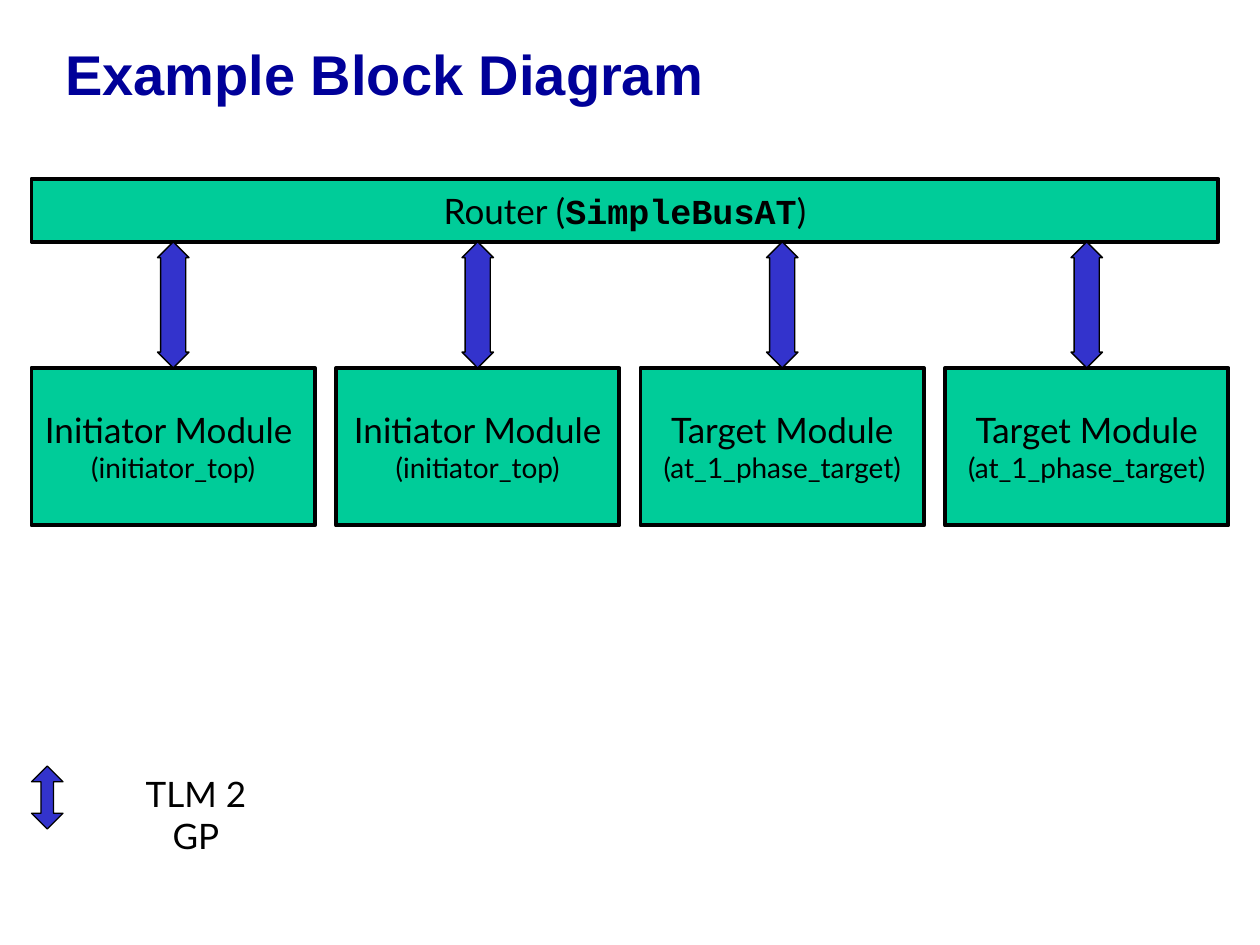
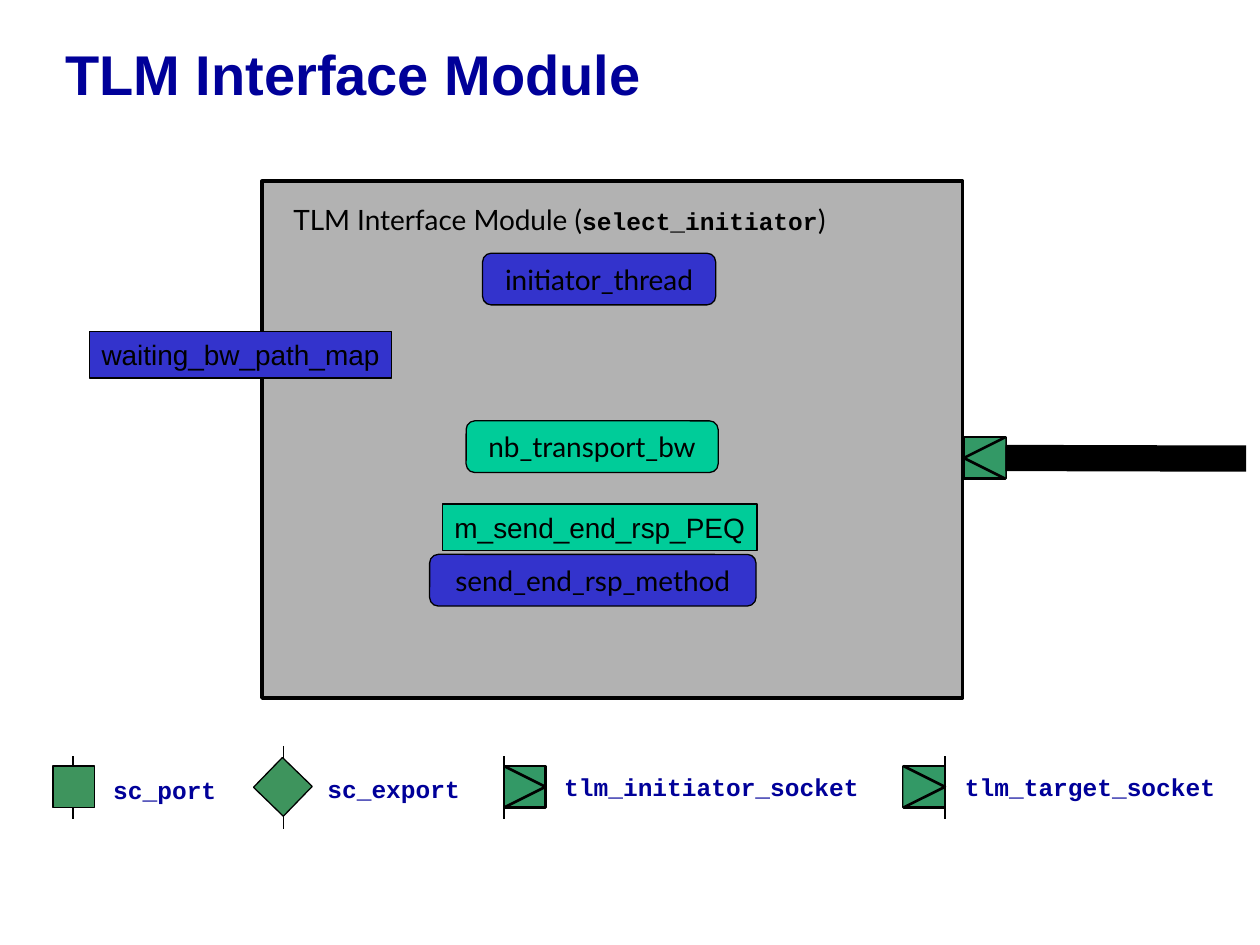
"""Build two slides showing a TLM block diagram and its interface module."""
from dataclasses import dataclass

from lxml import etree
from pptx import Presentation
from pptx.dml.color import RGBColor
from pptx.enum.shapes import MSO_CONNECTOR, MSO_SHAPE
from pptx.enum.text import MSO_ANCHOR, MSO_AUTO_SIZE, PP_ALIGN
from pptx.oxml.ns import qn
from pptx.util import Inches, Pt

RECTANGLE = MSO_SHAPE.RECTANGLE
ROUNDED = MSO_SHAPE.ROUNDED_RECTANGLE
DOUBLE_ARROW = MSO_SHAPE.UP_DOWN_ARROW
STRAIGHT = MSO_CONNECTOR.STRAIGHT
LEFT, CENTER = PP_ALIGN.LEFT, PP_ALIGN.CENTER
TOP, MIDDLE = MSO_ANCHOR.TOP, MSO_ANCHOR.MIDDLE
GROW, FIXED = MSO_AUTO_SIZE.SHAPE_TO_FIT_TEXT, MSO_AUTO_SIZE.NONE
LEFT_SIDE, RIGHT_SIDE = 1, 3

COLORS = {
    "black": "000000",
    "navy": "000099",
    "blue": "3333CC",
    "teal": "00CC99",
    "gray": "B2B2B2",
    "socket": "339966",
    "port": "3E945D",
}
BODY, HEADING, CODE = "Lato", "Arial", "Courier New"
SOCKET_SIZE = 0.33


@dataclass(frozen=True)
class Run:
    text: str
    size: float = 20
    font: str = BODY
    bold: bool = False


@dataclass(frozen=True)
class Box:
    left: float
    top: float
    width: float
    height: float

    def lengths(self) -> tuple:
        return tuple(Inches(v) for v in (self.left, self.top, self.width, self.height))


@dataclass(frozen=True)
class Process:
    name: str
    box: Box
    fill: str
    rounded: bool = True


@dataclass(frozen=True)
class Legend:
    name: str
    symbol_left: float
    line_x: float
    line_top: float
    line_bottom: float
    label: Box
    is_socket: bool = False
    rotation: float = 0


MODULES = [
    ("Initiator Module ", "(initiator_top)"),
    ("Initiator Module", "(initiator_top)"),
    ("Target Module", "(at_1_phase_target)"),
    ("Target Module", "(at_1_phase_target)"),
]
MODULE_LEFT, MODULE_STEP = 0.25, 7.25 / 3

PROCESSES = [
    Process("nb_transport_bw", Box(3.7, 3.34, 2, 0.41), "teal"),
    Process("send_end_rsp_method", Box(3.41, 4.4, 2.59, 0.41), "blue"),
    Process("m_send_end_rsp_PEQ", Box(3.51, 4, 2.5, 0.37), "teal", False),
    Process("initiator_thread", Box(3.83, 2.01, 1.85, 0.41), "blue"),
    Process("waiting_bw_path_map", Box(0.71, 2.63, 2.4, 0.37), "blue", False),
]

LEGENDS = [
    Legend("tlm_initiator_socket", 4, 4, 6, 6.5, Box(4.38, 6.08, 2.54, 0.34), True),
    Legend("tlm_target_socket", 7.17, 7.5, 6, 6.5, Box(7.56, 6.08, 2.19, 0.34), True),
    Legend("sc_port", 0.42, 0.58, 6, 6.5, Box(0.8, 6.1, 1.02, 0.34)),
    Legend("sc_export", 2.08, 2.25, 5.92, 6.58, Box(2.5, 6.09, 1.25, 0.34), rotation=44.1),
]


def color(name: str) -> RGBColor:
    return RGBColor.from_string(COLORS[name])


def write_text(shape, paragraphs: list, *, ink="black", align=CENTER, anchor=MIDDLE,
               wrap=False, fit=FIXED, side_inset=0.1, line_spacing=None) -> None:
    frame = shape.text_frame
    frame.word_wrap = wrap
    frame.auto_size = fit
    frame.vertical_anchor = anchor
    frame.margin_left = frame.margin_right = Inches(side_inset)
    frame.margin_top = frame.margin_bottom = Inches(0.05)
    for index, parts in enumerate(paragraphs):
        paragraph = frame.add_paragraph() if index else frame.paragraphs[0]
        paragraph.alignment = align
        if line_spacing:
            paragraph.line_spacing = line_spacing
        for part in parts:
            run = paragraph.add_run()
            run.text = part.text
            run.font.size = Pt(part.size)
            run.font.name = part.font
            run.font.bold = part.bold
            run.font.color.rgb = color(ink)


def add_text(slide, box: Box, paragraphs: list, **text_format):
    shape = slide.shapes.add_textbox(*box.lengths())
    write_text(shape, paragraphs, **text_format)
    return shape


def paint(shape, fill: str, line_width: float) -> None:
    shape.shadow.inherit = False
    shape.fill.solid()
    shape.fill.fore_color.rgb = color(fill)
    shape.line.color.rgb = color("black")
    shape.line.width = Pt(line_width)


def add_block(slide, kind, box: Box, fill: str, line_width: float):
    shape = slide.shapes.add_shape(kind, *box.lengths())
    paint(shape, fill, line_width)
    return shape


def add_bus_arrow(slide, box: Box, head_ratio: float) -> None:
    arrow = add_block(slide, DOUBLE_ARROW, box, "blue", 0.75)
    arrow.adjustments[0] = 0.5
    arrow.adjustments[1] = head_ratio


def add_line(slide, start: tuple, end: tuple, width: float):
    points = [Inches(value) for value in (*start, *end)]
    connector = slide.shapes.add_connector(STRAIGHT, *points)
    connector.line.color.rgb = color("black")
    connector.line.width = Pt(width)
    etree.SubElement(connector._element.spPr, qn("a:effectLst"))
    return connector


def add_socket(slide, left: float, top: float, points_left=False):
    square = add_block(slide, RECTANGLE, Box(left, top, SOCKET_SIZE, SOCKET_SIZE), "socket", 1.5)
    base, tip = left, left + SOCKET_SIZE
    if points_left:
        base, tip = tip, base
    builder = slide.shapes.build_freeform(Inches(base), Inches(top))
    builder.add_line_segments([
        (Inches(tip), Inches(top + SOCKET_SIZE / 2)),
        (Inches(base), Inches(top + SOCKET_SIZE)),
    ], close=False)
    paint(builder.convert_to_shape(), "socket", 1.5)
    return square


def add_legend(slide, legend: Legend) -> None:
    add_text(slide, legend.label, [[Run(legend.name, 14, CODE, True)]],
             ink="navy", align=LEFT, anchor=TOP, fit=GROW)
    start, end = (legend.line_x, legend.line_top), (legend.line_x, legend.line_bottom)
    if legend.is_socket:
        add_socket(slide, legend.symbol_left, 6.08)
        add_line(slide, start, end, 0.75)
    else:
        add_line(slide, start, end, 0.75)
        box = Box(legend.symbol_left, 6.08, SOCKET_SIZE, SOCKET_SIZE)
        add_block(slide, RECTANGLE, box, "port", 0.75).rotation = legend.rotation


def add_titled_slide(presentation, title: str):
    slide = presentation.slides.add_slide(presentation.slide_layouts[6])
    add_text(slide, Box(0.42, 0, 9.5, 1.25), [[Run(title, 32, HEADING, True)]],
             ink="navy", align=LEFT, wrap=True, line_spacing=0.85)
    return slide


def build_block_diagram(presentation) -> None:
    slide = add_titled_slide(presentation, "Example Block Diagram")
    add_text(slide, Box(0.84, 6.08, 1.43, 0.44), [[Run("TLM 2 GP")]],
             anchor=TOP, wrap=True, side_inset=0.2)
    add_bus_arrow(slide, Box(0.25, 6.08, 0.25, 0.5), 0.4)
    router = add_block(slide, RECTANGLE, Box(0.25, 1.42, 9.42, 0.5), "teal", 2.25)
    write_text(router, [[Run("Router ("), Run("SimpleBusAT", font=CODE, bold=True), Run(")")]])
    for index, (name, class_name) in enumerate(MODULES):
        left = MODULE_LEFT + index * MODULE_STEP
        module = add_block(slide, RECTANGLE, Box(left, 2.92, 2.25, 1.25), "teal", 2.25)
        write_text(module, [[Run(name)], [Run(class_name, 16)]])
        add_bus_arrow(slide, Box(left + 1, 1.92, 0.25, 1), 0.8)


def build_interface_module(presentation) -> None:
    slide = add_titled_slide(presentation, "TLM Interface Module")
    for legend in LEGENDS:
        add_legend(slide, legend)
    add_block(slide, RECTANGLE, Box(2.08, 1.44, 5.56, 4.1), "gray", 2.25)
    caption = [Run("TLM Interface Module (", 16), Run("select_initiator", 14, CODE, True),
               Run(")", 16)]
    add_text(slide, Box(2.23, 1.56, 4.55, 0.37), [caption],
             align=LEFT, anchor=TOP, wrap=True, fit=GROW)
    socket = add_socket(slide, 7.65, 3.47, points_left=True)
    bus = add_line(slide, (9.89, 3.64), (7.98, 3.64), 15)
    bus.end_connect(socket, RIGHT_SIDE)
    for process in PROCESSES:
        kind = ROUNDED if process.rounded else RECTANGLE
        shape = add_block(slide, kind, process.box, process.fill, 0.75)
        font = BODY if process.rounded else HEADING
        write_text(shape, [[Run(process.name, 16, font)]])


def main() -> None:
    presentation = Presentation()
    presentation.slide_width = Inches(10)
    presentation.slide_height = Inches(7.5)
    build_block_diagram(presentation)
    build_interface_module(presentation)
    presentation.save("out.pptx")


if __name__ == "__main__":
    main()
